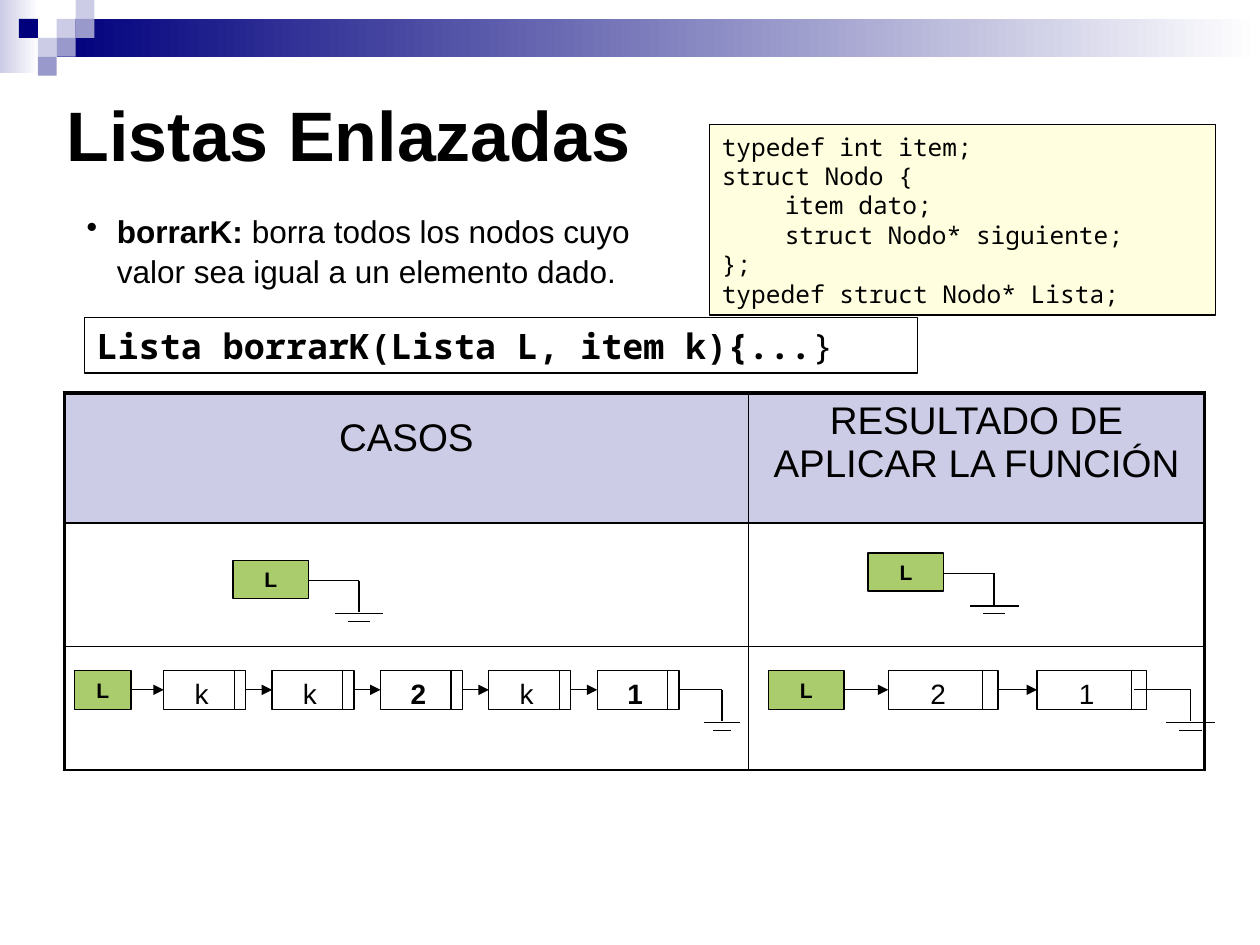
from pptx import Presentation
from pptx.dml.color import RGBColor as RGB
from pptx.enum.shapes import MSO_CONNECTOR as LINK, MSO_SHAPE as SHAPE
from pptx.enum.text import MSO_ANCHOR as ANCHOR, PP_ALIGN as ALIGN
from pptx.oxml.ns import qn
from pptx.util import Inches, Pt
from lxml.etree import SubElement as Sub

COLORS = {"ink": "000000", "navy": "00007D", "mid": "9999CC", "pale": "CCCCE6",
          "white": "FFFFFF", "green": "AACC6C", "cream": "FFFF99"}
SANS, MONO = "Arial", "Noto Sans Mono"


def color(name):
    return RGB.from_string(COLORS[name])


def style(para, size, font=SANS, bold=False):
    for run in para.runs:
        run.font.size = Pt(size)
        run.font.name = font
        run.font.bold = bold
        run.font.color.rgb = color("ink")


def rect(shapes, x, y, w, h, fill=None, edge=True):
    box = shapes.add_shape(SHAPE.RECTANGLE, Inches(x), Inches(y), Inches(w), Inches(h))
    box.shadow.inherit = False
    if fill:
        box.fill.solid()
        box.fill.fore_color.rgb = color(fill)
    else:
        box.fill.background()
    if edge:
        box.line.color.rgb = color("ink")
        box.line.width = Pt(0.75)
    else:
        box.line.fill.background()
    return box


def label(box, text, size, bold, anchor):
    frame = box.text_frame
    frame.text = text
    frame.word_wrap = True
    frame.margin_left = frame.margin_right = 0
    frame.vertical_anchor = anchor
    frame.paragraphs[0].alignment = ALIGN.CENTER
    style(frame.paragraphs[0], size, bold=bold)


def line(shapes, x1, y1, x2, y2):
    link = shapes.add_connector(LINK.STRAIGHT, Inches(x1), Inches(y1), Inches(x2), Inches(y2))
    link.line.color.rgb = color("ink")
    link.line.width = Pt(0.75)
    Sub(link._element.spPr, qn("a:effectLst"))
    return link


def arrow(shapes, start, end):
    y = (start.top + start.height / 2) / Inches(1)
    link = line(shapes, (start.left + start.width) / Inches(1), y, end.left / Inches(1), y)
    link.begin_connect(start, 3)
    link.end_connect(end, 1)
    Sub(link.line._get_or_add_ln(), qn("a:tailEnd"), type="triangle")


def ground(shapes, x, y, run):
    end = x + run
    line(shapes, x, y, end, y)
    line(shapes, end, y, end, y + 0.25)
    for half, drop in ((0.43 * run, 0.26), (0.2 * run, 0.32)):
        line(shapes, end - half, y + drop, end + half, y + drop)


def head(shapes, x, y, w, h=0.3):
    box = rect(shapes, x, y, w, h, "green")
    label(box, "L", 12, True, ANCHOR.MIDDLE)
    return box


def empty(slide, x, y):
    shapes = slide.shapes.add_group_shape().shapes
    ground(shapes, x + 0.55, y + 0.16, 0.45)
    head(shapes, x, y, 0.6)


def chain(slide, x, y, wide, first, pitch, body, slot, items, tail, run):
    shapes = slide.shapes.add_group_shape().shapes
    prev = head(shapes, x, y, wide, 0.31)
    for i, (text, bold) in enumerate(items):
        left = x + first + i * pitch
        node = rect(shapes, left, y, body, 0.31, "white")
        label(node, text, 16, bold, ANCHOR.TOP)
        arrow(shapes, prev, node)
        prev = rect(shapes, left + body - 0.04, y, slot, 0.31, "white")
    ground(shapes, x + tail, y + 0.155, run)


def banner(slide):
    shapes = slide.shapes.add_group_shape().shapes
    for x, y, w, h, tone in ((0, 0, 0.31, 0.58, "pale"), (0.45, 0.15, 9.55, 0.3, "navy")):
        fill = rect(shapes, x, y, w, h, edge=False).fill
        fill.gradient()
        fill.gradient_angle = 0
        for stop, name in zip(fill.gradient_stops, (tone, "white")):
            stop.color.rgb = color(name)
    cells = {"pale": ((3, 1), (4, 0), (2, 2)), "mid": ((4, 1), (3, 2), (2, 3)), "navy": ((1, 1),)}
    for tone, spots in cells.items():
        for col, row in spots:
            rect(shapes, 0.15 * col, 0.15 * row, 0.15, 0.15, tone, False)


def title(slide, x, y, w, h):
    box = slide.shapes.title
    box.left, box.top, box.width, box.height = Inches(x), Inches(y), Inches(w), Inches(h)
    frame = box.text_frame
    frame.text = "Listas Enlazadas"
    frame.vertical_anchor = ANCHOR.TOP
    frame.paragraphs[0].alignment = ALIGN.LEFT
    style(frame.paragraphs[0], 40, bold=True)


def intro(slide, x, y, w, h):
    frame = slide.shapes.add_textbox(Inches(x), Inches(y), Inches(w), Inches(h)).text_frame
    frame.word_wrap = True
    para = frame.paragraphs[0]
    para.text = "borrarK: "
    para.add_run().text = "borra todos los nodos cuyo valor sea igual a un elemento dado."
    para.line_spacing = 1.05
    style(para, 18)
    para.runs[0].font.bold = True
    props = para._p.get_or_add_pPr()
    props.set("marL", str(Inches(0.24)))
    props.set("indent", str(-Inches(0.24)))
    Sub(props, qn("a:buChar"), char="•")


def code(slide, x, y, w, h, text, size, bold=False, fill=None):
    box = rect(slide.shapes, x, y, w, h, fill)
    frame = box.text_frame
    frame.text = text
    frame.word_wrap = True
    frame.vertical_anchor = ANCHOR.MIDDLE
    for para in frame.paragraphs:
        para.alignment = ALIGN.LEFT
        para.line_spacing = Pt(1.2 * size)
        style(para, size, MONO, bold)
    return box


def border(cell, sides):
    props = cell._tc.get_or_add_tcPr()
    for i, (side, width) in enumerate(sides.items()):
        edge = Sub(props, qn("a:ln" + side), w=str(Pt(width)))
        Sub(Sub(edge, qn("a:solidFill")), qn("a:srgbClr"), val=COLORS["ink"])
        props.remove(edge)
        props.insert(i, edge)


def grid(slide, x, y, cols, rows):
    table = slide.shapes.add_table(len(rows), len(cols), Inches(x), Inches(y),
                                   Inches(sum(cols)), Inches(sum(rows))).table
    table.first_row = table.horz_banding = False
    for col, w in zip(table.columns, cols):
        col.width = Inches(w)
    for row, h in zip(table.rows, rows):
        row.height = Inches(h)
    for r in range(len(rows)):
        for c in range(len(cols)):
            cell = table.cell(r, c)
            cell.fill.background()
            border(cell, {"L": 1 if c else 2.25, "R": 2.25 if c else 1,
                          "T": 1 if r else 2.25, "B": 1})
    heads = (("CASOS", 0.19), ("RESULTADO DE APLICAR LA FUNCIÓN", 0.05))
    for cell, (text, top) in zip(table.rows[0].cells, heads):
        cell.fill.solid()
        cell.fill.fore_color.rgb = color("pale")
        cell.margin_top = Inches(top)
        cell.text_frame.text = text
        para = cell.text_frame.paragraphs[0]
        para.alignment = ALIGN.CENTER
        style(para, 22)


def main():
    deck = Presentation()
    deck.slide_width, deck.slide_height = Inches(10), Inches(7.5)
    slide = deck.slides.add_slide(deck.slide_layouts[5])
    banner(slide)
    intro(slide, 0.59, 1.62, 4.96, 0.71)
    title(slide, 0.43, 0.68, 9, 1.5)
    types = code(slide, 5.63, 0.99, 4.02, 1.51,
                 "typedef int item;\nstruct Nodo {\n\titem dato;\n\tstruct Nodo* siguiente;\n"
                 "};\ntypedef struct Nodo* Lista;", 14, fill="cream")
    tint = types._element.spPr.find(qn("a:solidFill"))[0]
    Sub(tint, qn("a:alpha"), val="30000")
    grid(slide, 0.51, 3.12, (5.43, 3.62), (1.03, 0.98, 0.98))
    empty(slide, 1.85, 4.45)
    call = code(slide, 0.67, 2.52, 6.61, 0.44, "Lista borrarK(Lista L, item k){...", 20, True)
    para = call.text_frame.paragraphs[0]
    para.add_run().text = "}"
    style(para, 20, MONO)
    para.runs[0].font.bold = True
    empty(slide, 6.89, 4.39)
    chain(slide, 0.59, 5.32, 0.45, 0.71, 0.86, 0.6, 0.09,
          (("k", False), ("k", False), ("2", True), ("k", False), ("1", True)), 4.8, 0.34)
    chain(slide, 6.1, 5.32, 0.6, 0.95, 1.18, 0.79, 0.12,
          (("2", False), ("1", False)), 2.9, 0.45)
    deck.save("out.pptx")


if __name__ == "__main__":
    main()
